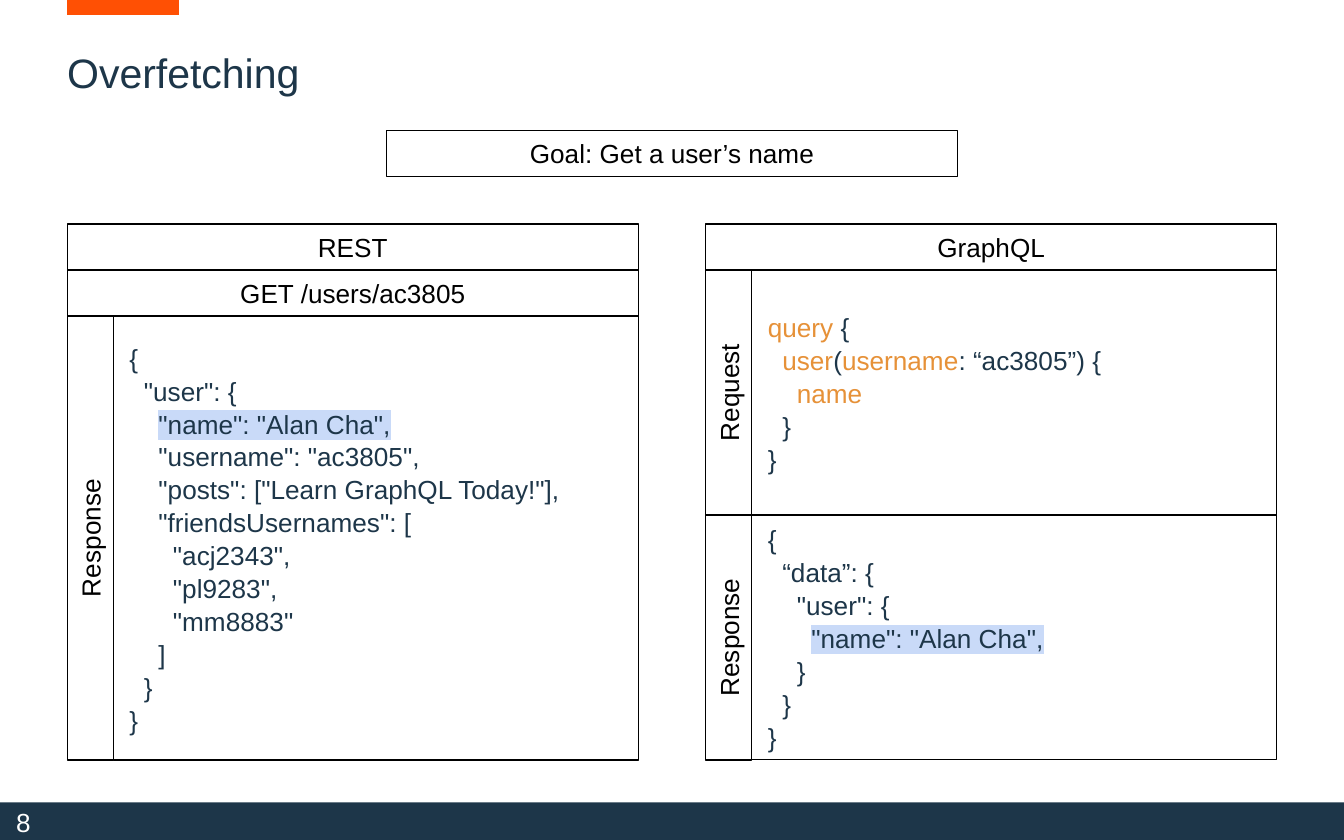
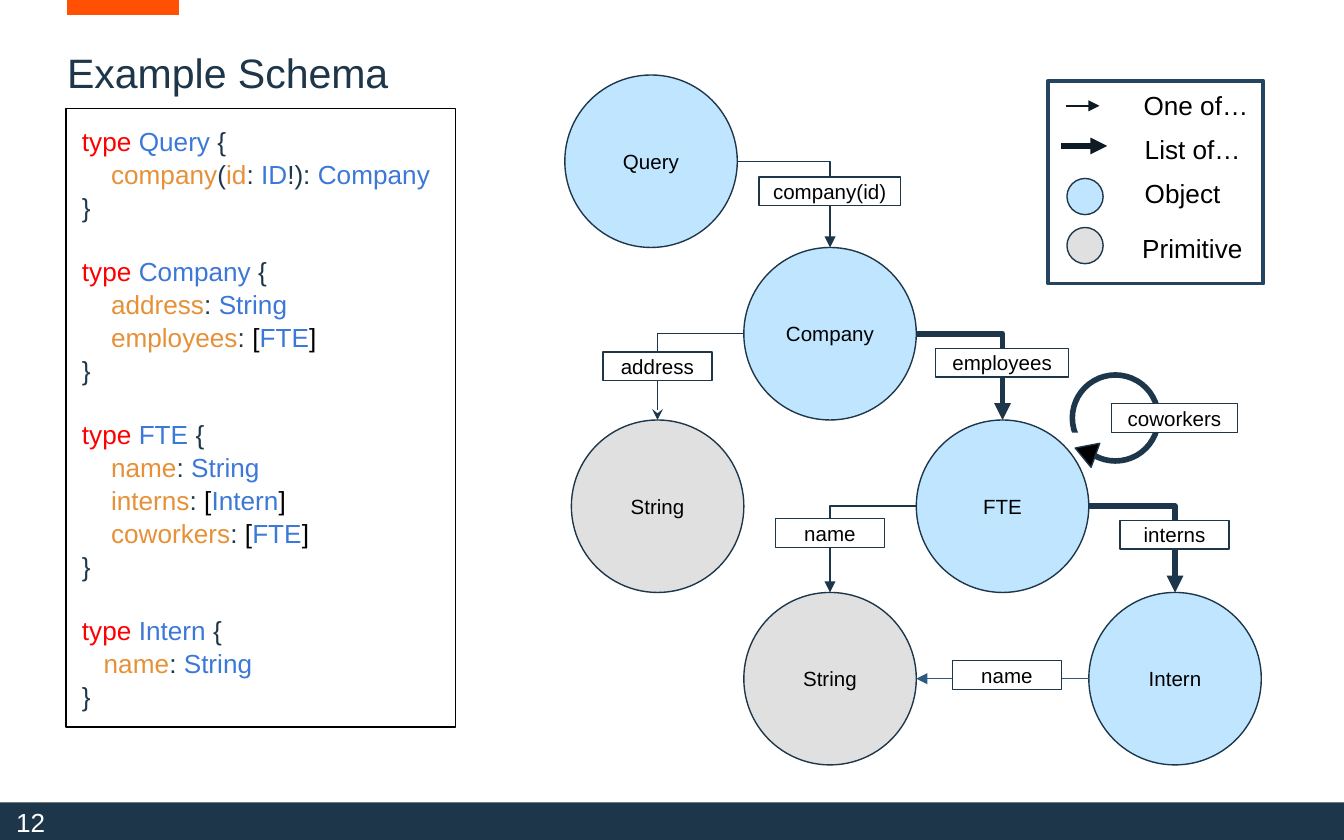
import dataclasses
import itertools

import lxml.etree
import pptx
import pptx.dml.color
import pptx.enum.shapes
import pptx.enum.text
import pptx.oxml.ns
import pptx.util

Pt = pptx.util.Pt
SHAPES = pptx.enum.shapes.MSO_SHAPE
CONNECTORS = pptx.enum.shapes.MSO_CONNECTOR
ALIGN = pptx.enum.text.PP_ALIGN
ANCHOR = pptx.enum.text.MSO_ANCHOR
AUTO_SIZE = pptx.enum.text.MSO_AUTO_SIZE
qn = pptx.oxml.ns.qn


@dataclasses.dataclass(frozen=True)
class Theme:
    font: str = "Arial"
    navy: str = "1D3649"
    accent: str = "FF5004"
    black: str = "000000"
    white: str = "FFFFFF"
    object_fill: str = "C0E6FF"
    primitive_fill: str = "E0E0E0"
    keyword: str = "FF0000"
    type_name: str = "3C78D8"
    field: str = "E69138"
    highlight: str = "C9DAF8"
    legend_frame: str = "25445F"
    legend_arrow: str = "0E1B24"
    blue_line: str = "2F5A7F"
    title_size: float = 22
    body_size: float = 14
    label_size: float = 11
    thin: float = 0.75
    thick: float = 3


def rgb(value):
    return pptx.dml.color.RGBColor.from_string(value)


def apply(target, values):
    for name, value in values.items():
        setattr(target, name, value)


def character_kind(character):
    if character.isalnum() or character in "“”":
        return "word"
    return "bracket" if character in "[]" else "plain"


class Deck:
    space_width = 3.89
    code_margin = 8.64
    code_pitch = 16.85

    def __init__(self, theme):
        self.theme = theme
        self.presentation = pptx.Presentation()
        apply(self.presentation, {"slide_width": Pt(720), "slide_height": Pt(450)})
        self.slide = None

    def add_slide(self, title, number):
        theme = self.theme
        self.slide = self.presentation.slides.add_slide(self.presentation.slide_layouts[6])
        self.line((36, 3.8), (95.8, 3.8), theme.accent, 8, arrow=None)
        self.box(SHAPES.RECTANGLE, 0, 429.8, 720, 20.2, fill=theme.navy, line=None)
        self.text(number, 8.64, 431.3, 137.5, 20.2, theme.body_size, theme.white, 0.9, ANCHOR.MIDDLE)
        self.text(title, 36, 18, 648, 27.4, theme.title_size, theme.navy, 1.28)

    def frame(self, shape, horizontal=0, vertical=0, **values):
        apply(shape.text_frame, {
            "word_wrap": True,
            "margin_left": Pt(horizontal),
            "margin_right": Pt(horizontal),
            "margin_top": Pt(vertical),
            "margin_bottom": Pt(vertical),
            **values,
        })
        return shape.text_frame

    def run(self, paragraph, text, size, color):
        run = paragraph.add_run()
        run.text = text
        apply(run.font, {"name": self.theme.font, "size": Pt(size)})
        run.font.color.rgb = rgb(color)
        return run

    def text(self, text, left, top, width, height, size, color, spacing=1.0, anchor=ANCHOR.TOP):
        shape = self.slide.shapes.add_textbox(Pt(left), Pt(top), Pt(width), Pt(height))
        paragraph = self.frame(shape, vertical_anchor=anchor).paragraphs[0]
        paragraph.line_spacing = spacing
        self.run(paragraph, text, size, color)
        return shape

    def box(self, kind, left, top, width, height, text="", fill=None, line="000000",
            weight=0.75, size=14, rotation=0):
        shape = self.slide.shapes.add_shape(kind, Pt(left), Pt(top), Pt(width), Pt(height))
        shape.shadow.inherit = False
        shape.rotation = rotation
        if fill:
            shape.fill.solid()
            shape.fill.fore_color.rgb = rgb(fill)
        else:
            shape.fill.background()
        if line:
            shape.line.color.rgb = rgb(line)
            shape.line.width = Pt(weight)
        else:
            shape.line.fill.background()
        if text:
            paragraph = self.frame(shape, vertical_anchor=ANCHOR.MIDDLE).paragraphs[0]
            paragraph.alignment = ALIGN.CENTER
            self.run(paragraph, text, size, self.theme.black)
        return shape

    def line(self, start, end, color, weight, arrow="triangle", bent=False):
        kind = CONNECTORS.ELBOW if bent else CONNECTORS.STRAIGHT
        connector = self.slide.shapes.add_connector(kind, *map(Pt, start + end))
        connector.line.color.rgb = rgb(color)
        connector.line.width = Pt(weight)
        properties = connector._element.spPr
        if bent:
            properties.find(qn("a:prstGeom")).set("prst", "bentConnector2")
        if arrow:
            lxml.etree.SubElement(properties.find(qn("a:ln")), qn("a:tailEnd"), type=arrow)
        lxml.etree.SubElement(properties, qn("a:effectLst"))

    def bend(self, source, target, weight, arrow="triangle"):
        begin_left = source.left + (source.width if target.left > source.left else 0)
        start = (pptx.util.Emu(begin_left).pt, pptx.util.Emu(source.top + source.height // 2).pt)
        end = (pptx.util.Emu(target.left + target.width // 2).pt, target.top.pt)
        self.line(start, end, self.theme.navy, weight, arrow, bent=True)

    def label(self, text, left, top, width):
        theme = self.theme
        self.box(SHAPES.RECTANGLE, left, top, width, 15.4, text, theme.white, theme.navy,
                 size=theme.label_size)

    def tokens(self, line):
        theme = self.theme
        for kind, characters in itertools.groupby(line, character_kind):
            token = "".join(characters)
            if kind == "bracket":
                color = theme.black
            elif kind == "plain" or token.startswith("“"):
                color = theme.navy
            elif token == "type":
                color = theme.keyword
            else:
                color = theme.type_name if token[0].isupper() else theme.field
            yield token, color

    def code(self, source, left, top, width, height, colored=False, highlighted=None):
        theme = self.theme
        shape = self.box(SHAPES.RECTANGLE, left, top, width, height)
        frame = self.frame(shape, vertical=4.3, vertical_anchor=ANCHOR.MIDDLE)
        after_gap = False
        for line in source.strip().splitlines():
            if not line:
                after_gap = True
                continue
            paragraph = frame.paragraphs[0]
            if paragraph.runs:
                paragraph = frame.add_paragraph()
            content = line.lstrip()
            indent = self.code_margin + self.space_width * (len(line) - len(content))
            apply(paragraph, {
                "alignment": ALIGN.LEFT,
                "line_spacing": 1.05,
                "space_before": Pt(self.code_pitch if after_gap else 0),
            })
            paragraph._p.get_or_add_pPr().set("marL", str(int(Pt(indent))))
            after_gap = False
            for token, color in self.tokens(content) if colored else [(content, theme.navy)]:
                run = self.run(paragraph, token, theme.body_size, color)
                if content == highlighted:
                    mark = lxml.etree.Element(qn("a:highlight"))
                    lxml.etree.SubElement(mark, qn("a:srgbClr"), val=theme.highlight)
                    run._r.get_or_add_rPr().find(qn("a:solidFill")).addnext(mark)


REST_RESPONSE = """
{
  "user": {
    "name": "Alan Cha",
    "username": "ac3805",
    "posts": ["Learn GraphQL Today!"],
    "friendsUsernames": [
      "acj2343",
      "pl9283",
      "mm8883"
    ]
  }
}
"""

GRAPHQL_REQUEST = """
query {
  user(username: “ac3805”) {
    name
  }
}
"""

GRAPHQL_RESPONSE = """
{
  “data”: {
    "user": {
      "name": "Alan Cha",
    }
  }
}
"""

SCHEMA = """
type Query {
    company(id: ID!): Company
}

type Company {
    address: String
    employees: [FTE]
}

type FTE {
    name: String
    interns: [Intern]
    coworkers: [FTE]
}

type Intern {
   name: String
}
"""


def build_overfetching(deck):
    deck.add_slide("Overfetching", "8")
    rest, graphql, width, row, top, bottom = 36, 378, 306, 24.7, 120, 407.1
    middle = (top + row + bottom) / 2
    panels = (
        ("Response", REST_RESPONSE, rest, top + 2 * row, bottom, False),
        ("Request", GRAPHQL_REQUEST, graphql, top + row, middle, True),
        ("Response", GRAPHQL_RESPONSE, graphql, middle, bottom, False),
    )
    for name, source, left, start, end, colored in panels:
        height = end - start
        deck.code(source, left + row, start, width - row, height, colored, '"name": "Alan Cha",')
        deck.box(SHAPES.RECTANGLE, left + (row - height) / 2, start + (height - row) / 2,
                 height, row, name, rotation=270)
    headers = (
        ("Goal: Get a user’s name", 207, 69.8),
        ("REST", rest, top),
        ("GET /users/ac3805", rest, top + row),
        ("GraphQL", graphql, top),
    )
    for text, left, start in headers:
        deck.box(SHAPES.RECTANGLE, left, start, width, row, text)


def build_legend(deck):
    theme = deck.theme
    for fill, top in ((theme.object_fill, 95.6), (theme.primitive_fill, 121.9)):
        deck.box(SHAPES.OVAL, 571.6, top, 19.4, 19.4, fill=fill, line=theme.navy)
    for left, right, y, weight in ((571, 589, 56.7, theme.thin), (568.6, 593.2, 78.2, theme.thick)):
        deck.line((left, y), (right, y), theme.legend_arrow, weight)
    entries = (
        ("One of…", 605.5, 44.6, 71),
        ("List of…", 606.2, 67.7, 66),
        ("Object", 606.2, 91.4, 55.4),
        ("Primitive", 604.8, 121, 68.4),
    )
    for text, left, top, width in entries:
        shape = deck.text(text, left, top, width, 24.5, theme.body_size, theme.black)
        deck.frame(shape, 7.2, 3.6, word_wrap=False, auto_size=AUTO_SIZE.SHAPE_TO_FIT_TEXT)
    deck.box(SHAPES.RECTANGLE, 561.6, 43.2, 115.2, 108.7, line=theme.legend_frame, weight=2)


def build_schema(deck):
    theme = deck.theme
    deck.add_slide("Example Schema", "12")
    deck.code(SCHEMA, 35.3, 58.3, 208.8, 331.2, colored=True)

    diameter, left, top = 92.4, 306.1, 40.2

    def node(name, column, row, fill=theme.object_fill, shift=0):
        return deck.box(SHAPES.OVAL, left + column * diameter + shift, top + row * diameter,
                        diameter, diameter, name, fill, theme.navy, size=theme.label_size)

    query = node("Query", 0, 0, shift=-3.5)
    company = node("Company", 1, 1)
    address = node("String", 0, 2, theme.primitive_fill)
    employee = node("FTE", 2, 2)
    name = node("String", 1, 3, theme.primitive_fill)
    intern = node("Intern", 3, 3)

    deck.bend(query, company, theme.thin)
    deck.bend(company, address, theme.thin, "stealth")
    deck.bend(company, employee, theme.thick)
    deck.bend(employee, name, theme.thin)
    deck.bend(employee, intern, theme.thick)
    intern_y = top + 3.5 * diameter
    deck.line((left + 3 * diameter, intern_y), (left + 2 * diameter, intern_y),
              theme.blue_line, theme.thin)

    deck.box(SHAPES.OVAL, 574.5, 200.9, 46.1, 46.1, line=theme.navy, weight=theme.thick)
    deck.box(SHAPES.RECTANGLE, 573.1, 231.8, 16.6, 9.4, fill=theme.white, line=None)
    deck.box(SHAPES.ISOSCELES_TRIANGLE, 574.6, 236.2, 13.7, 11.5, fill=theme.black,
             line=theme.navy, rotation=289.9)

    labels = (
        ("company(id)", 406.6, 94.8, 75.8),
        ("address", 323, 188.6, 58.5),
        ("employees", 501.3, 186.6, 71.2),
        ("coworkers", 595.4, 216.2, 67.6),
        ("name", 415.4, 277.8, 58.5),
        ("interns", 600, 278.8, 58.5),
        ("name", 510.2, 353.9, 58.5),
    )
    for label in labels:
        deck.label(*label)
    build_legend(deck)


def main():
    deck = Deck(Theme())
    build_overfetching(deck)
    build_schema(deck)
    deck.presentation.save("out.pptx")


if __name__ == "__main__":
    main()
